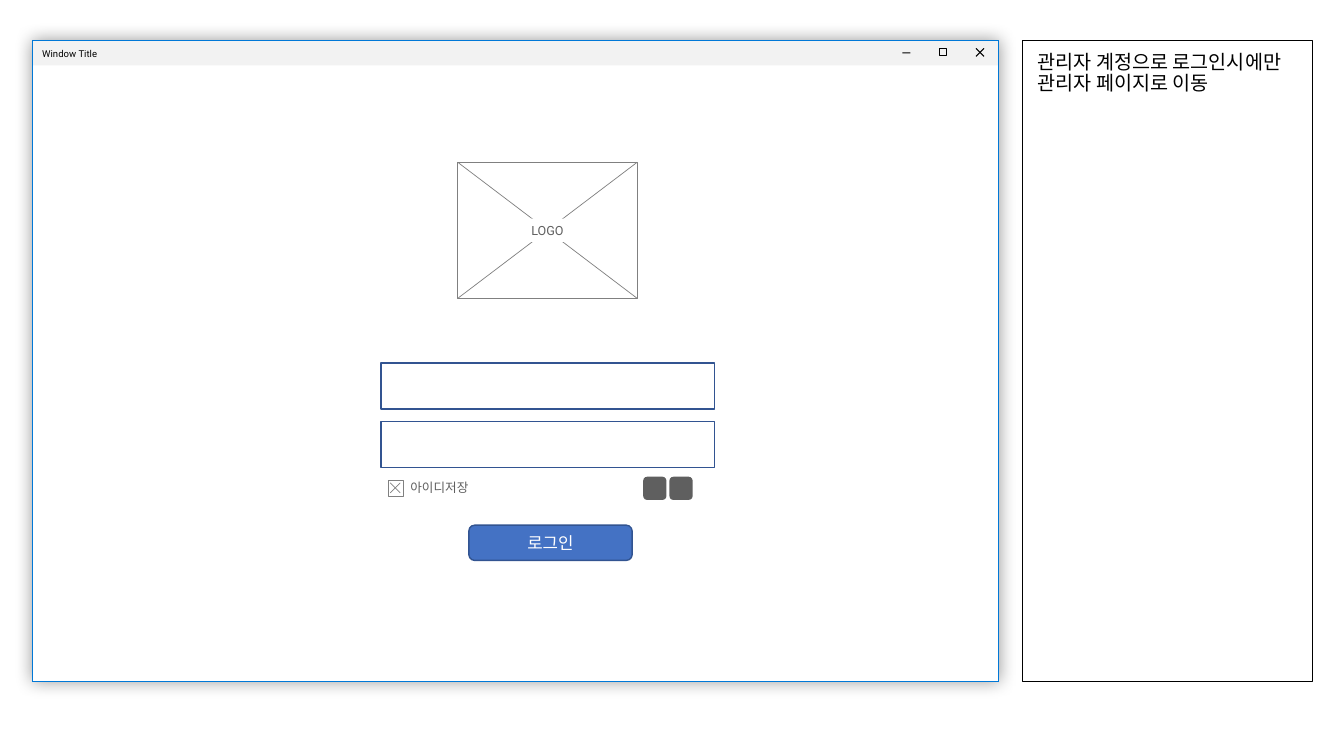
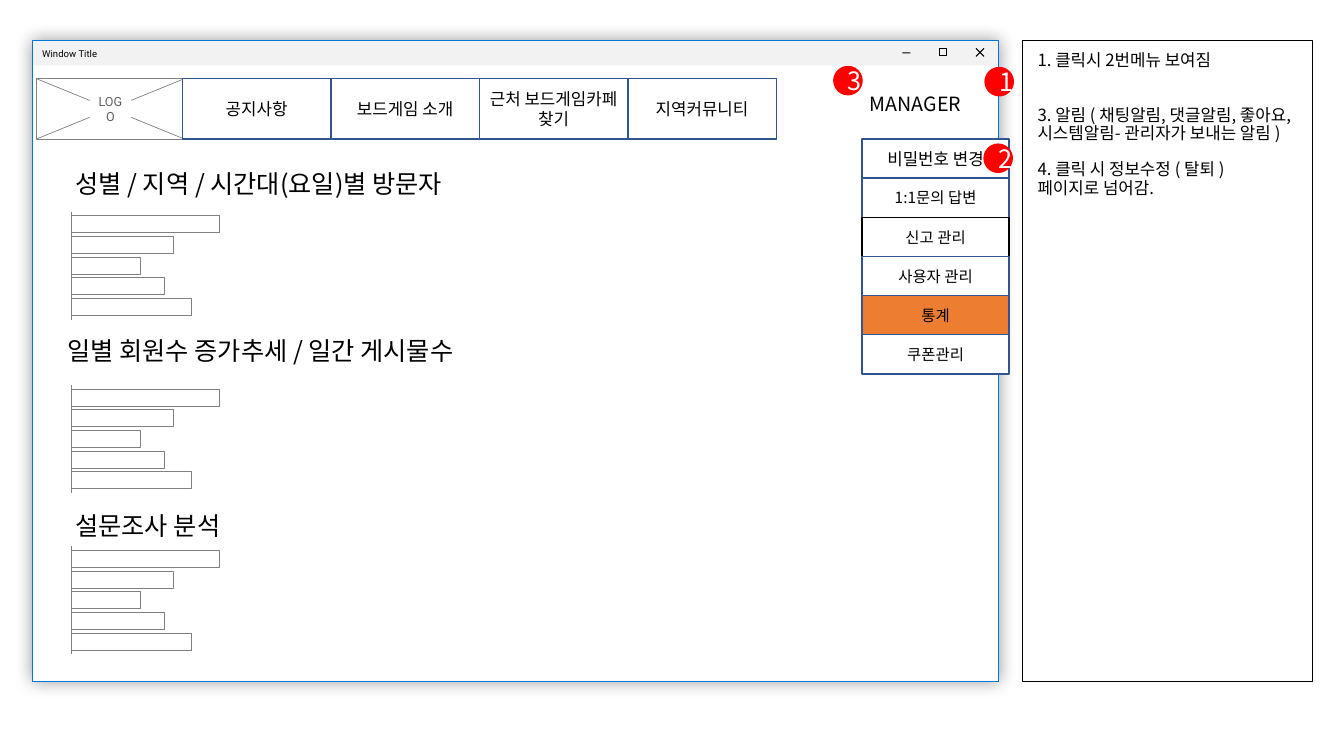
import pptx
import pptx.util
import pptx.dml.color
import pptx.enum.shapes
import pptx.enum.text
import pptx.oxml
import pptx.oxml.ns
import lxml.etree

Inches = pptx.util.Inches
Pt = pptx.util.Pt
RGBColor = pptx.dml.color.RGBColor
MSO = pptx.enum.shapes.MSO_SHAPE
ALIGN = pptx.enum.text.PP_ALIGN
ANCHOR = pptx.enum.text.MSO_ANCHOR
qn = pptx.oxml.ns.qn

BLACK = RGBColor(0x00, 0x00, 0x00)
WHITE = RGBColor(0xFF, 0xFF, 0xFF)
WINDOW_BLUE = RGBColor(0x00, 0x78, 0xD7)
BAR_GRAY = RGBColor(0xF2, 0xF2, 0xF2)
LINE_GRAY = RGBColor(0x80, 0x80, 0x80)
TEXT_GRAY = RGBColor(0x5F, 0x5F, 0x5F)
NAVY = RGBColor(0x32, 0x54, 0x91)
BLUE = RGBColor(0x44, 0x72, 0xC4)
ORANGE = RGBColor(0xED, 0x7D, 0x31)
RED = RGBColor(0xFF, 0x00, 0x00)

BODY_FONT = "Noto Sans CJK KR"
UI_FONT = "Roboto"
GLOW = (
    '<a:effectLst xmlns:a="http://schemas.openxmlformats.org/drawingml/2006/main">'
    '<a:outerShdw blurRad="152400" dist="0" dir="0" algn="ctr" rotWithShape="0">'
    '<a:srgbClr val="000000"><a:alpha val="40000"/></a:srgbClr>'
    '</a:outerShdw></a:effectLst>'
)


class Wireframe:
    def __init__(self):
        self.prs = pptx.Presentation()
        self.prs.slide_width = Inches(13.33)
        self.prs.slide_height = Inches(7.5)
        self.s = None

    def style(self, tf, size, color=BLACK, font=BODY_FONT, align=ALIGN.CENTER):
        for p in tf.paragraphs:
            p.alignment = align
            for r in p.runs:
                r.font.size = Pt(size)
                r.font.name = font
                r.font.color.rgb = color
                ea = lxml.etree.SubElement(r.font._element, qn("a:ea"))
                ea.set("typeface", font)

    def shape(self, x, y, w, h, fill=WHITE, line=None, width=1, kind=MSO.RECTANGLE):
        sp = self.s.shapes.add_shape(kind, Inches(x), Inches(y), Inches(w), Inches(h))
        sp.shadow.inherit = False
        if fill is None:
            sp.fill.background()
        else:
            sp.fill.solid()
            sp.fill.fore_color.rgb = fill
        if line is None:
            sp.line.fill.background()
        else:
            sp.line.color.rgb = line
            sp.line.width = Pt(width)
        return sp

    def label(self, sp, text, size, color=BLACK, font=BODY_FONT, align=ALIGN.CENTER):
        tf = sp.text_frame
        tf.text = text
        tf.vertical_anchor = ANCHOR.MIDDLE
        self.style(tf, size, color, font, align)
        return tf

    def button(self, x, y, w, h, text, size=12, fill=WHITE, line=NAVY,
               color=BLACK, kind=MSO.RECTANGLE):
        self.label(self.shape(x, y, w, h, fill, line, kind=kind), text, size, color)

    def badge(self, x, y, number):
        self.button(x, y, 0.28, 0.28, number, 18, RED, RED, WHITE, MSO.OVAL)

    def text(self, x, y, w, h, text, size, color=BLACK, font=BODY_FONT, anchor=ANCHOR.TOP):
        sp = self.s.shapes.add_textbox(Inches(x), Inches(y), Inches(w), Inches(h))
        tf = sp.text_frame
        tf.text = text
        tf.word_wrap = False
        tf.vertical_anchor = anchor
        self.style(tf, size, color, font, ALIGN.LEFT)
        return tf

    def line(self, x1, y1, x2, y2, color=LINE_GRAY, width=0.5):
        c = self.s.shapes.add_connector(
            pptx.enum.shapes.MSO_CONNECTOR.STRAIGHT,
            Inches(x1), Inches(y1), Inches(x2), Inches(y2))
        c.line.color.rgb = color
        c.line.width = Pt(width)
        lxml.etree.SubElement(c._element.spPr, qn("a:effectLst"))

    def cross(self, x, y, w, h, color=LINE_GRAY, width=0.5):
        self.line(x, y, x + w, y + h, color, width)
        self.line(x, y + h, x + w, y, color, width)

    def insets(self, tf, side, top, bottom):
        tf.margin_left = tf.margin_right = Inches(side)
        tf.margin_top = Inches(top)
        tf.margin_bottom = Inches(bottom)

    def logo(self, x, y, w, h, label_w, label_h):
        self.shape(x, y, w, h, WHITE, LINE_GRAY, 0.5)
        self.cross(x, y, w, h)
        sp = self.shape(x + (w - label_w) / 2, y + (h - label_h) / 2, label_w, label_h)
        tf = self.label(sp, "LOGO", 9, TEXT_GRAY, UI_FONT)
        self.insets(tf, 0.08, 0.04, 0.04)

    def window(self):
        frame = (0.32, 0.4, 9.58, 6.36)
        self.shape(10.14, 0.4, 2.88, 6.36, None, BLACK, 0.75)
        sp = self.shape(*frame, WHITE, WINDOW_BLUE, 0.5)
        spPr = sp._element.spPr
        spPr.replace(spPr.find(qn("a:effectLst")), pptx.oxml.parse_xml(GLOW))
        bar = self.shape(0.32, 0.4, 9.58, 0.25, BAR_GRAY)
        tf = self.label(bar, "Window Title", 6.8, BLACK, UI_FONT, ALIGN.LEFT)
        self.insets(tf, 0.1, 0.06, 0.05)
        self.shape(8.95, 0.52, 0.08, 0.01, BLACK)
        self.shape(9.32, 0.48, 0.07, 0.07, None, BLACK, 0.75)
        self.cross(9.68, 0.48, 0.08, 0.08, BLACK, 0.75)
        self.shape(*frame, None, WINDOW_BLUE, 0.5)

    def slide(self, notes, size, gaps):
        self.s = self.prs.slides.add_slide(self.prs.slide_layouts[5])
        self.window()
        sp = self.s.shapes.title
        sp.left, sp.top = Inches(10.19), Inches(0.47)
        sp.width, sp.height = Inches(2.88), Inches(6.36)
        tf = sp.text_frame
        tf.text = "\n".join(notes)
        tf.word_wrap = True
        tf.auto_size = pptx.enum.text.MSO_AUTO_SIZE.NONE
        tf.vertical_anchor = ANCHOR.TOP
        for p, gap in zip(tf.paragraphs, gaps):
            p.line_spacing = 0.9
            p.space_before = Pt(gap)
        self.style(tf, size, align=ALIGN.LEFT)

    def bar_sketch(self, top):
        x, height, bar_h, margin = 0.71, 1.07, 0.17, 0.04
        widths = (1.47, 1.01, 0.68, 0.92, 1.19)
        pitch = (height - 2 * margin - bar_h) / (len(widths) - 1)
        for i, w in enumerate(widths):
            self.shape(x, top + margin + i * pitch, w, bar_h, WHITE, LINE_GRAY, 0.5)
        self.line(x, top, x, top + height)


def login_slide(wf):
    wf.slide(["관리자 계정으로 로그인시에만 관리자 페이지로 이동"], 14, [0])
    for y in (3.6, 4.18):
        wf.shape(3.78, y, 3.31, 0.46, WHITE, NAVY)
    for x in (6.38, 6.64):
        wf.shape(x, 4.73, 0.23, 0.23, TEXT_GRAY, kind=MSO.ROUNDED_RECTANGLE)
    wf.shape(3.85, 4.77, 0.15, 0.15, WHITE, LINE_GRAY, 0.5)
    wf.cross(3.87, 4.79, 0.1, 0.1)
    tf = wf.text(3.99, 4.72, 0.79, 0.23, "아이디저장", 9, TEXT_GRAY, UI_FONT, ANCHOR.MIDDLE)
    wf.insets(tf, 0.08, 0.04, 0.04)
    wf.button(4.65, 5.21, 1.62, 0.35, "로그인", 12, BLUE, NAVY, WHITE, MSO.ROUNDED_RECTANGLE)
    wf.logo(4.54, 1.61, 1.78, 1.35, 0.5, 0.23)


def statistics_slide(wf):
    wf.slide([
        "1. 클릭시 2번메뉴 보여짐",
        "3. 알림 ( 채팅알림, 댓글알림, 좋아요, 시스템알림- 관리자가 보내는 알림 )",
        "4. 클릭 시 정보수정 ( 탈퇴 )\v페이지로 넘어감.",
    ], 12, [0, 26, 13])

    wf.logo(0.36, 0.78, 1.47, 0.6, 0.41, 0.37)
    nav = ("공지사항", "보드게임 소개", "근처 보드게임카페 찾기", "지역커뮤니티")
    nav_w = (7.7 - 1.81) / len(nav)
    for i, name in enumerate(nav):
        wf.button(1.81 + i * nav_w, 0.78, nav_w, 0.6, name)

    wf.button(8.43, 0.83, 1.3, 0.39, "MANAGER", 14, line=None, kind=MSO.ROUNDED_RECTANGLE)
    menu = (
        ("비밀번호 변경", 12, WHITE, NAVY),
        ("1:1문의 답변", 11, WHITE, NAVY),
        ("신고 관리", 11, WHITE, BLACK),
        ("사용자 관리", 11, WHITE, NAVY),
        ("통계", 11, ORANGE, NAVY),
        ("쿠폰관리", 11, WHITE, NAVY),
    )
    item_h = (3.71 - 1.38) / len(menu)
    for i, (name, size, fill, line) in enumerate(menu):
        wf.button(8.55, 1.38 + i * item_h, 1.46, item_h, name, size, fill, line)
    for x, y, number in ((9.77, 0.67, "1"), (9.76, 1.43, "2"), (8.27, 0.66, "3")):
        wf.badge(x, y, number)

    sections = (
        (0.65, 1.62, 4.46, "성별 / 지역 / 시간대(요일)별 방문자", 2.1),
        (0.57, 3.28, 4.62, "일별 회원수 증가추세 / 일간 게시물수", 3.82),
        (0.65, 5.01, 1.9, "설문조사 분석", 5.42),
    )
    for x, y, w, heading, chart_top in sections:
        wf.text(x, y, w, 0.4, heading, 18)
        wf.bar_sketch(chart_top)


def main():
    wf = Wireframe()
    login_slide(wf)
    statistics_slide(wf)
    wf.prs.save("out.pptx")


if __name__ == "__main__":
    main()
